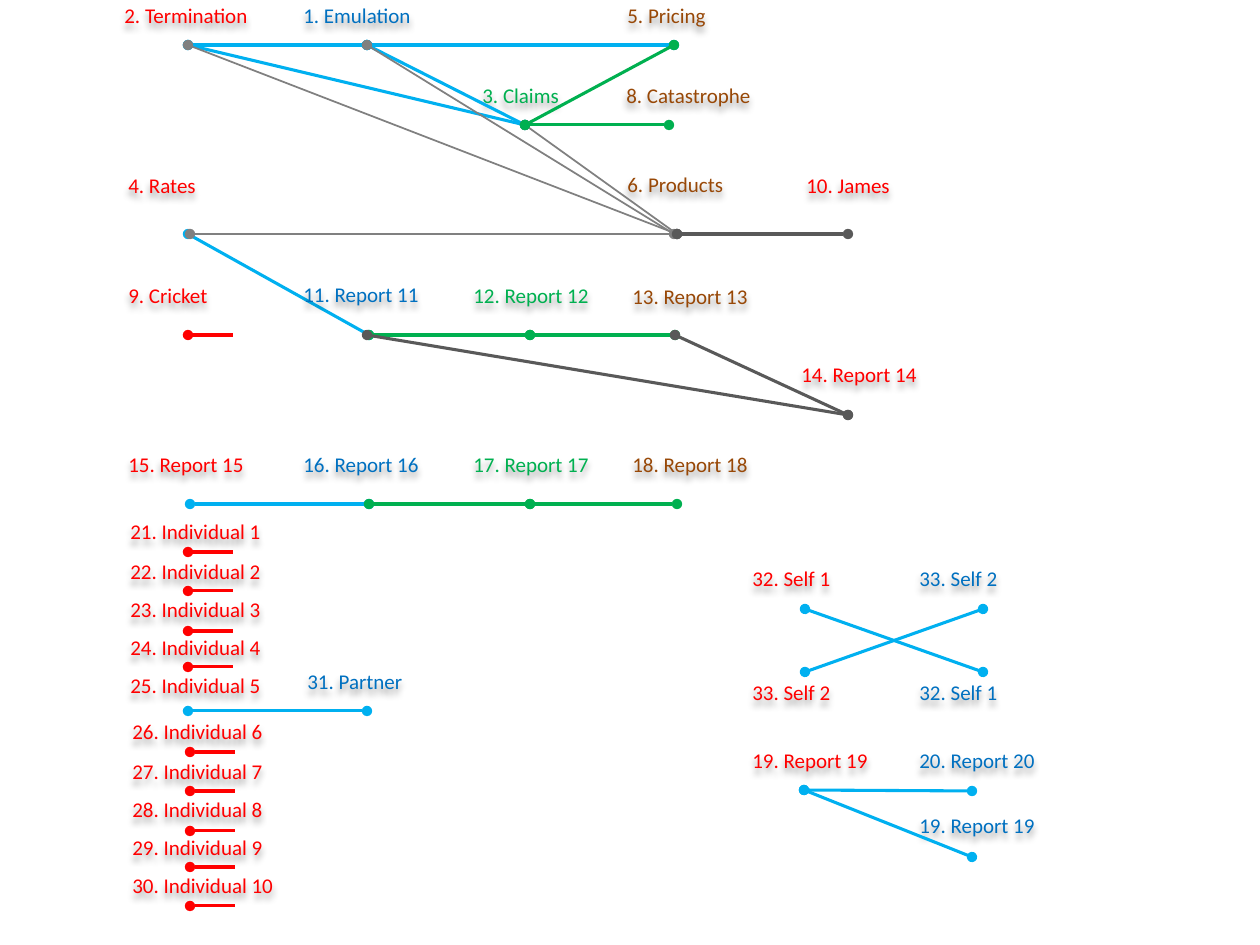
from lxml import etree
from pptx import Presentation
from pptx.dml.color import RGBColor
from pptx.enum.shapes import MSO_CONNECTOR
from pptx.enum.text import MSO_AUTO_SIZE
from pptx.oxml.ns import qn
from pptx.util import Emu, Pt

STRAIGHT = MSO_CONNECTOR.STRAIGHT
FIT_TEXT = MSO_AUTO_SIZE.SHAPE_TO_FIT_TEXT
EMU_PER_PX = 914400 / 126
LABEL_SIZE = (179, 38)
THICK, THIN = 1.75, 1

RED, BLUE, GREEN, BROWN = "FF0000", "0070C0", "00B050", "984807"
SKY, GRAY, DARK = "00B0F0", "808080", "595959"

LABELS = [
    ("2. Termination", 112, -4, RED),
    ("1. Emulation", 291, -4, BLUE),
    ("5. Pricing", 615, -4, BROWN),
    ("3. Claims", 470, 76, GREEN),
    ("8. Catastrophe", 614, 76, BROWN),
    ("4. Rates", 116, 166, RED),
    ("6. Products", 615, 165, BROWN),
    ("10. James", 794, 166, RED),
    ("9. Cricket", 116, 276, RED),
    ("11. Report 11", 291, 275, BLUE),
    ("12. Report 12", 461, 276, GREEN),
    ("13. Report 13", 620, 277, BROWN),
    ("14. Report 14", 789, 355, RED),
    ("15. Report 15", 116, 445, RED),
    ("16. Report 16", 291, 445, BLUE),
    ("17. Report 17", 461, 445, GREEN),
    ("18. Report 18", 620, 445, BROWN),
    ("31. Partner", 295, 662, BLUE),
    ("32. Self 1", 740, 559, RED),
    ("33. Self 2", 907, 559, BLUE),
    ("33. Self 2", 740, 673, RED),
    ("32. Self 1", 907, 673, BLUE),
    ("19. Report 19", 740, 741, RED),
    ("20. Report 20", 907, 741, BLUE),
    ("19. Report 19", 907, 806, BLUE),
]

TERMINATION, EMULATION, PRICING = (188, 45), (367, 45), (674, 45)
CLAIMS, CATASTROPHE = (525, 125), (669, 125)
RATES, PRODUCTS, JAMES = (190, 234), (677, 234), (848, 234)
REPORT_11, REPORT_12, REPORT_13 = (369, 335), (530, 335), (675, 335)
REPORT_14 = (848, 415)
REPORT_15, REPORT_16 = (190, 504), (369, 504)
REPORT_17, REPORT_18 = (530, 504), (677, 504)

LINKS = [
    (TERMINATION, EMULATION, SKY, THICK),
    (EMULATION, CLAIMS, SKY, THICK),
    (TERMINATION, CLAIMS, SKY, THICK),
    (PRICING, EMULATION, SKY, THICK),
    (PRICING, CLAIMS, GREEN, THICK),
    (RATES, PRODUCTS, GRAY, THIN),
    (EMULATION, (674, 234), GRAY, THIN),
    (TERMINATION, PRODUCTS, GRAY, THIN),
    (CLAIMS, PRODUCTS, GRAY, THIN),
    (CATASTROPHE, CLAIMS, GREEN, THICK),
    (JAMES, PRODUCTS, DARK, THICK),
    (REPORT_15, REPORT_16, SKY, THICK),
    (REPORT_16, REPORT_17, GREEN, THICK),
    (REPORT_18, REPORT_17, GREEN, THICK),
    (REPORT_13, REPORT_12, GREEN, THICK),
    (REPORT_11, REPORT_12, GREEN, THICK),
    (REPORT_14, REPORT_13, DARK, THICK),
    ((367, 335), REPORT_14, DARK, THICK),
    ((188, 711), (367, 711), SKY, THICK),
    ((805, 609), (983, 672), SKY, THICK),
    ((805, 672), (983, 609), SKY, THICK),
    ((804, 790), (972, 791), SKY, THICK),
    ((804, 790), (972, 857), SKY, THICK),
]

INDIVIDUAL_GROUPS = [(21, 1, 118, 512, 4), (26, 6, 120, 712, 5)]
LABEL_OFFSETS = (0, 40, 78, 116, 154)
STUB_OFFSETS = (40, 79, 119, 155, 194)


def px(value):
    return Emu(round(value * EMU_PER_PX))


def color(value):
    return RGBColor.from_string(value)


def add_soft_shadow(shape):
    effects = etree.SubElement(shape._element.spPr, qn("a:effectLst"))
    shadow = etree.SubElement(effects, qn("a:outerShdw"), blurRad="50800",
                              dist="38100", dir="5400000", algn="t", rotWithShape="0")
    black = etree.SubElement(shadow, qn("a:prstClr"), val="black")
    etree.SubElement(black, qn("a:alpha"), val="40000")


def add_label(slide, text, left, top, text_color):
    shape = slide.shapes.add_textbox(*map(px, (left, top, *LABEL_SIZE)))
    add_soft_shadow(shape)
    frame = shape.text_frame
    frame.word_wrap = True
    frame.auto_size = FIT_TEXT
    paragraph = frame.paragraphs[0]
    paragraph.text = text
    paragraph.font.name = "Calibri"
    paragraph.font.size = Pt(12)
    paragraph.font.color.rgb = color(text_color)


def add_link(slide, start, end, line_color, width, ends=("headEnd", "tailEnd")):
    connector = slide.shapes.add_connector(STRAIGHT, *map(px, (*start, *end)))
    connector.line.color.rgb = color(line_color)
    connector.line.width = Pt(width)
    for name in ends:
        etree.SubElement(connector.line._get_or_add_ln(), qn(f"a:{name}"), type="oval")
    etree.SubElement(connector._element.spPr, qn("a:effectLst"))


def add_stub(slide, left, top):
    add_link(slide, (left, top), (left + 45, top), RED, THICK, ends=("headEnd",))


def add_individuals(slide, number, person, left, top, stub_count):
    for index, offset in enumerate(LABEL_OFFSETS):
        text = f"{number + index}. Individual {person + index}"
        add_label(slide, text, left, top + offset, RED)
    for offset in STUB_OFFSETS[:stub_count]:
        add_stub(slide, left + 70, top + offset)


def main():
    presentation = Presentation()
    presentation.slide_width, presentation.slide_height = px(1260), px(945)
    slide = presentation.slides.add_slide(presentation.slide_layouts[6])
    add_link(slide, (188, 234), REPORT_11, SKY, THICK)
    for label in LABELS:
        add_label(slide, *label)
    for link in LINKS:
        add_link(slide, *link)
    add_stub(slide, 188, 335)
    for group in INDIVIDUAL_GROUPS:
        add_individuals(slide, *group)
    presentation.save("out.pptx")


if __name__ == "__main__":
    main()
